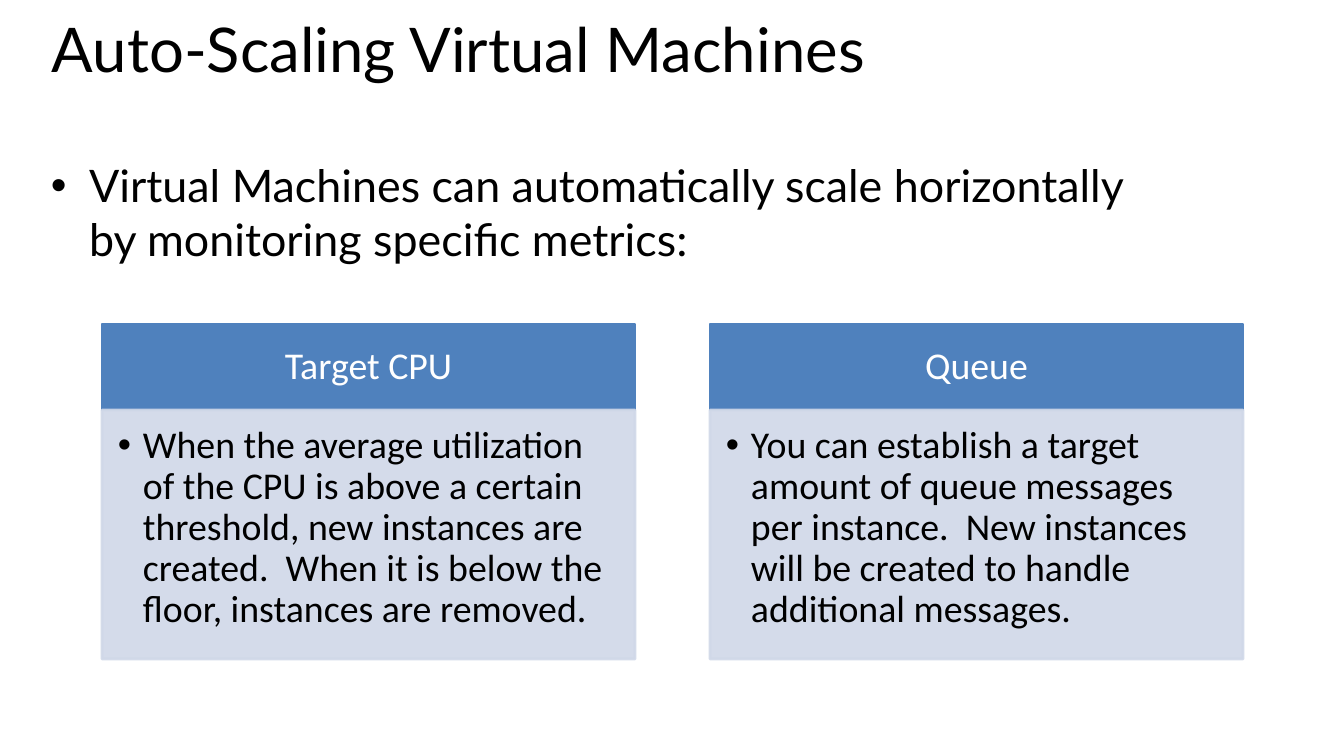
from lxml import etree
from pptx import Presentation
from pptx import util as u
from pptx.dml.color import RGBColor
from pptx.enum import shapes, text
from pptx.oxml.ns import qn

TITLE = "Auto-Scaling Virtual Machines"
LEAD = ("Virtual Machines can automatically scale horizontally \v"
        "by monitoring specific metrics:")
PANELS = [
    ("Target CPU",
     "When the average utilization of the CPU is above a certain threshold, "
     "new instances are created.  When it is below the floor, instances are "
     "removed."),
    ("Queue",
     "You can establish a target amount of queue messages per instance.  "
     "New instances will be created to handle additional messages."),
]
BLUE, PALE, BLACK, WHITE = "4F81BD", "D0D8E8", "000000", "FFFFFF"
LEFT, TOP, WIDTH, GAP = 102, 324, 533, 75
HEAD, BODY = 86, 249


def px(num):
    """Turn pixels into EMU."""
    return u.Emu(round(num * 914400 / 100.8))


def rgb(code):
    """Turn a hex string into a colour."""
    return RGBColor.from_string(code)


def place(shape, left, top, width, height):
    """Move and size a shape, in pixels."""
    shape.left, shape.top = px(left), px(top)
    shape.width, shape.height = px(width), px(height)


def write(shape, words, font, size, color, insets, anchor, align, space):
    """Set a shape's one paragraph and its layout; return the paragraph."""
    frame = shape.text_frame
    frame.text = words
    frame.word_wrap = True
    frame.auto_size = text.MSO_AUTO_SIZE.NONE
    frame.vertical_anchor = anchor
    (frame.margin_left, frame.margin_top,
     frame.margin_right, frame.margin_bottom) = map(px, insets)
    para = frame.paragraphs[0]
    para.alignment, para.line_spacing = align, space
    for run in para.runs:
        run.font.name, run.font.size = font, u.Pt(size)
        run.font.color.rgb = rgb(color)
    return para


def bullet(para, indent):
    """Give a paragraph a round bullet with a hanging indent in pixels."""
    props = para._p.get_or_add_pPr()
    props.set("marL", str(px(indent)))
    props.set("indent", str(-px(indent)))
    etree.SubElement(props, qn("a:buFont")).set("typeface", "Arial")
    etree.SubElement(props, qn("a:buChar")).set("char", "•")


def box(left, top, height, color, alpha=100):
    """Add a filled and outlined panel part."""
    shape = slide.shapes.add_shape(
        shapes.MSO_SHAPE.RECTANGLE, px(left), px(top), px(WIDTH), px(height))
    shape.shadow.inherit = False
    shape.fill.solid()
    shape.fill.fore_color.rgb = rgb(color)
    shape.line.color.rgb = rgb(color)
    shape.line.width = u.Pt(2)
    if alpha < 100:
        for tint in shape._element.spPr.iter(qn("a:srgbClr")):
            etree.SubElement(tint, qn("a:alpha")).set("val", str(alpha * 1000))
    return shape


deck = Presentation()
deck.slide_width, deck.slide_height = px(1344), px(756)
slide = deck.slides.add_slide(deck.slide_layouts[1])
high, mid = text.MSO_ANCHOR.TOP, text.MSO_ANCHOR.MIDDLE
start, center = text.PP_ALIGN.LEFT, text.PP_ALIGN.CENTER

title, lead = slide.shapes.title, slide.placeholders[1]
place(title, 42, 20, 1270, 117)
write(title, TITLE, "Lato", 44, BLACK, (10, 5, 10, 5), high, start, 0.8)
place(lead, 41, 153, 1270, 126)
para = write(lead, LEAD, "Lato", 32, BLACK, (10, 5, 10, 5), high, start, 1.0)
para.space_before = u.Pt(14)
bullet(para, 38)

for col, (name, note) in enumerate(PANELS):
    left = LEFT + col * (WIDTH + GAP)
    head = box(left, TOP, HEAD, BLUE)
    write(head, name, "Calibri", 27, WHITE, (21, 12, 21, 12), mid, center, 0.9)
    body = box(left, TOP + HEAD, BODY, PALE, 90)
    para = write(body, note, "Calibri", 27, BLACK, (16, 16, 21, 24),
                 high, start, 0.9)
    bullet(para, 25)

deck.save("out.pptx")
